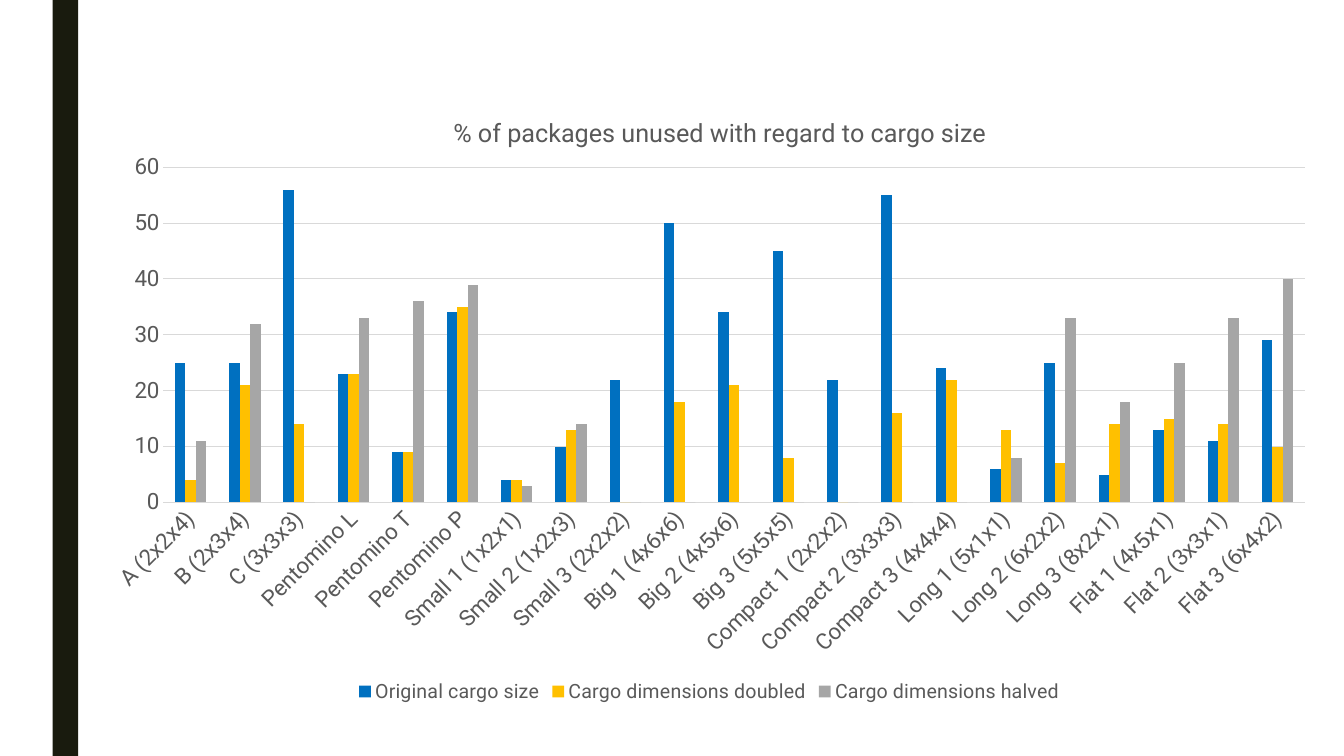
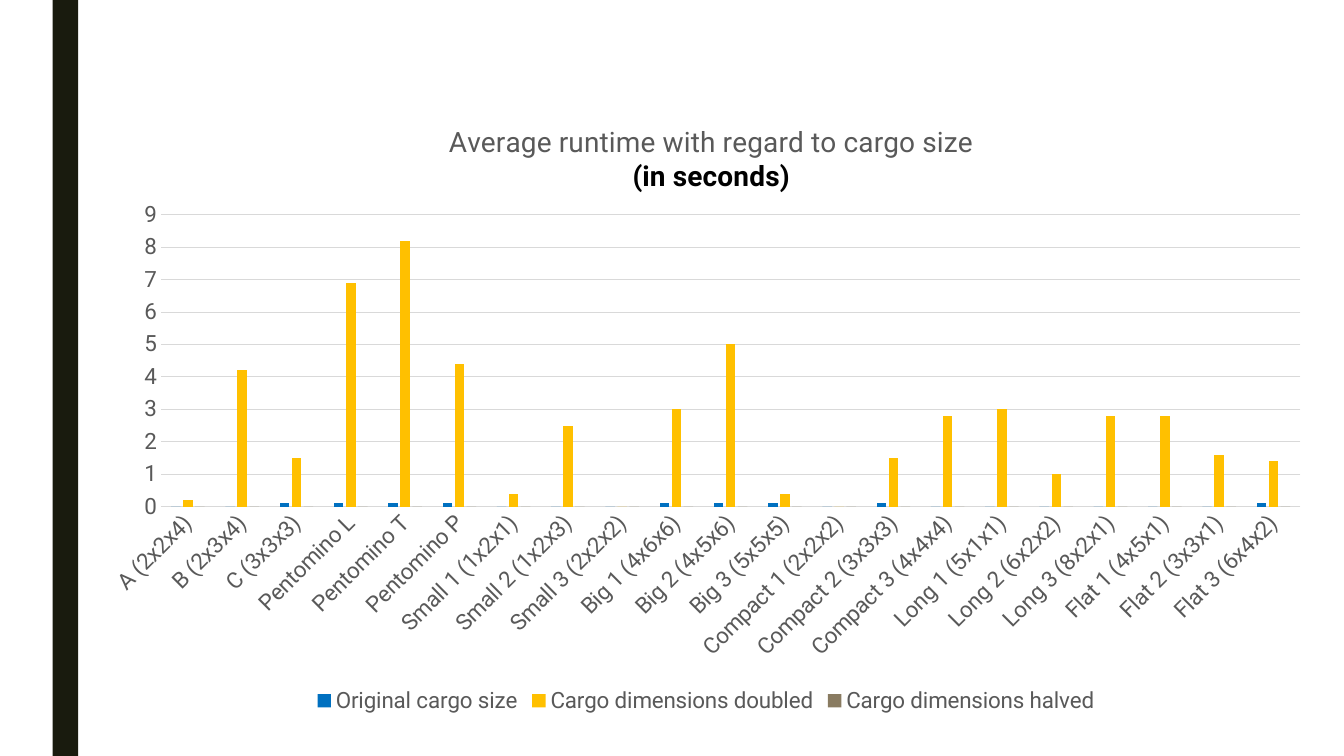
from pptx import Presentation
from pptx.chart.data import CategoryChartData
from pptx.dml.color import RGBColor
from pptx.enum.chart import XL_CHART_TYPE, XL_LEGEND_POSITION, XL_TICK_MARK
from pptx.enum.shapes import MSO_SHAPE
from pptx.oxml import parse_xml
from pptx.oxml.ns import nsdecls, qn
from pptx.util import Cm, Pt

FONT = "Roboto"
COLORS = {
    "band": "191B0E", "text": "595959", "strong": "000000", "grid": "D9D9D9",
    "blue": "0070C0", "yellow": "FFC000", "gray": "A6A6A6", "brown": "897B61",
}
PACKAGES = [
    "A (2x2x4)", "B (2x3x4)", "C (3x3x3)",
    "Pentomino L", "Pentomino T", "Pentomino P",
    "Small 1 (1x2x1)", "Small 2 (1x2x3)", "Small 3 (2x2x2)",
    "Big 1 (4x6x6)", "Big 2 (4x5x6)", "Big 3 (5x5x5)",
    "Compact 1 (2x2x2)", "Compact 2 (3x3x3)", "Compact 3 (4x4x4)",
    "Long 1 (5x1x1)", "Long 2 (6x2x2)", "Long 3 (8x2x1)",
    "Flat 1 (4x5x1)", "Flat 2 (3x3x1)", "Flat 3 (6x4x2)",
]
CARGO_SIZES = ["Original cargo size", "Cargo dimensions doubled",
               "Cargo dimensions halved"]
UNUSED = [
    [25, 25, 56, 23, 9, 34, 4, 10, 22, 50, 34, 45, 22, 55, 24, 6, 25, 5, 13, 11, 29],
    [4, 21, 14, 23, 9, 35, 4, 13, 0, 18, 21, 8, 0, 16, 22, 13, 7, 14, 15, 14, 10],
    [11, 32, 0, 33, 36, 39, 3, 14, 0, 0, 0, 0, 0, 0, 0, 8, 33, 18, 25, 33, 40],
]
RUNTIME = [
    [0, 0, 0.1, 0.1, 0.1, 0.1, 0, 0, 0, 0.1, 0.1, 0.1, 0, 0.1, 0, 0, 0, 0, 0, 0, 0.1],
    [0.2, 4.2, 1.5, 6.9, 8.2, 4.4, 0.4, 2.5, 0, 3, 5, 0.4, 0, 1.5, 2.8, 3, 1, 2.8,
     2.8, 1.6, 1.4],
    [0] * len(PACKAGES),
]


def rgb(name):
    return RGBColor.from_string(COLORS[name])


def format_font(font, size, color="text", bold=False):
    font.name, font.size, font.bold = FONT, Pt(size), bold
    font.color.rgb = rgb(color)


def add_text(p, text, **fmt):
    r = p.add_run()
    r.text = text
    format_font(r.font, **fmt)


def add_master_band(prs, s):
    """Draw the side band and move it to the master, behind everything."""
    band = s.shapes.add_shape(MSO_SHAPE.RECTANGLE, Cm(1.33), 0, Cm(0.64),
                              prs.slide_height)
    band.shadow.inherit = False
    band.fill.solid()
    band.fill.fore_color.rgb = rgb("band")
    band.line.fill.background()
    master = prs.slide_master
    next_id = max(sp.shape_id for sp in master.shapes) + 1
    band.element.nvSpPr.cNvPr.set("id", str(next_id))
    master.element.cSld.spTree.insert(2, band.element)


def set_layout(parent, index, target="", **fractions):
    """Place a chart part at fractions of the chart's box."""
    for old in parent.findall(qn("c:layout")):
        parent.remove(old)
    modes = "".join(f'<c:{k}Mode val="edge"/>' for k in "xy")
    sizes = "".join(f'<c:{k} val="{v}"/>' for k, v in fractions.items())
    parent.insert(index, parse_xml(
        f'<c:layout {nsdecls("c")}><c:manualLayout>{target}{modes}{sizes}'
        '</c:manualLayout></c:layout>'))


def format_axes(chart, top, step):
    cat, val = chart.category_axis, chart.value_axis
    for axis in (cat, val):
        axis.major_tick_mark = axis.minor_tick_mark = XL_TICK_MARK.NONE
        format_font(axis.tick_labels.font, 16)
    val.minimum_scale, val.maximum_scale, val.major_unit = 0, top, step
    val.format.line.fill.background()
    val.has_major_gridlines = True
    for line in (cat.format.line, val.major_gridlines.format.line):
        line.color.rgb = rgb("grid")
        line.width = Pt(0.75)
    for body in chart.element.xpath(".//c:catAx/c:txPr/a:bodyPr"):
        body.set("rot", "-2700000")
        body.set("vert", "horz")


def add_cargo_chart(s, box, title, title_size, values, colors, top, step,
                    plot_y, plot_h, legend_size, overlap=0):
    data = CategoryChartData()
    data.categories = PACKAGES
    for name, row in zip(CARGO_SIZES, values):
        data.add_series(name, row)
    chart = s.shapes.add_chart(XL_CHART_TYPE.COLUMN_CLUSTERED,
                               *map(Cm, box), data).chart
    format_font(chart.font, 10, "strong")

    tf = chart.chart_title.text_frame
    for i, (text, fmt) in enumerate(title):
        p = tf.add_paragraph() if i else tf.paragraphs[0]
        add_text(p, text, size=title_size, **fmt)
    chart.chart_title.include_in_layout = False

    plot = chart.plots[0]
    plot.gap_width, plot.overlap = 219, overlap
    plot.vary_by_categories = False
    for series, color in zip(plot.series, colors):
        series.format.fill.solid()
        series.format.fill.fore_color.rgb = rgb(color)
        series.invert_if_negative = False

    format_axes(chart, top, step)
    chart.has_legend = True
    chart.legend.position = XL_LEGEND_POSITION.BOTTOM
    chart.legend.include_in_layout = False
    format_font(chart.legend.font, legend_size)

    set_layout(chart.element.xpath("c:chart/c:title")[0], 1, x=0.29, y=0.04)
    set_layout(chart.element.xpath("c:chart/c:plotArea")[0], 0,
               '<c:layoutTarget val="inner"/>',
               x=0.06, y=plot_y, w=0.92, h=plot_h)


def main():
    prs = Presentation()
    prs.slide_width, prs.slide_height = Cm(33.87), Cm(19.05)
    blank = prs.slide_layouts[6]

    s = prs.slides.add_slide(blank)
    add_master_band(prs, s)
    add_cargo_chart(
        s, (2.24, 2.18, 31.27, 15.65),
        [("% of packages unused with regard to cargo size", {})], 18,
        UNUSED, ("blue", "yellow", "gray"), top=60, step=10,
        plot_y=0.13, plot_h=0.54, legend_size=14)

    s = prs.slides.add_slide(blank)
    add_cargo_chart(
        s, (2.18, 2.44, 31.22, 15.65),
        [("Average runtime with regard to cargo size", {}),
         ("(in seconds)", {"color": "strong", "bold": True})], 20,
        RUNTIME, ("blue", "yellow", "brown"), top=9, step=1,
        plot_y=0.19, plot_h=0.47, legend_size=16, overlap=-27)

    prs.save("out.pptx")


if __name__ == "__main__":
    main()
